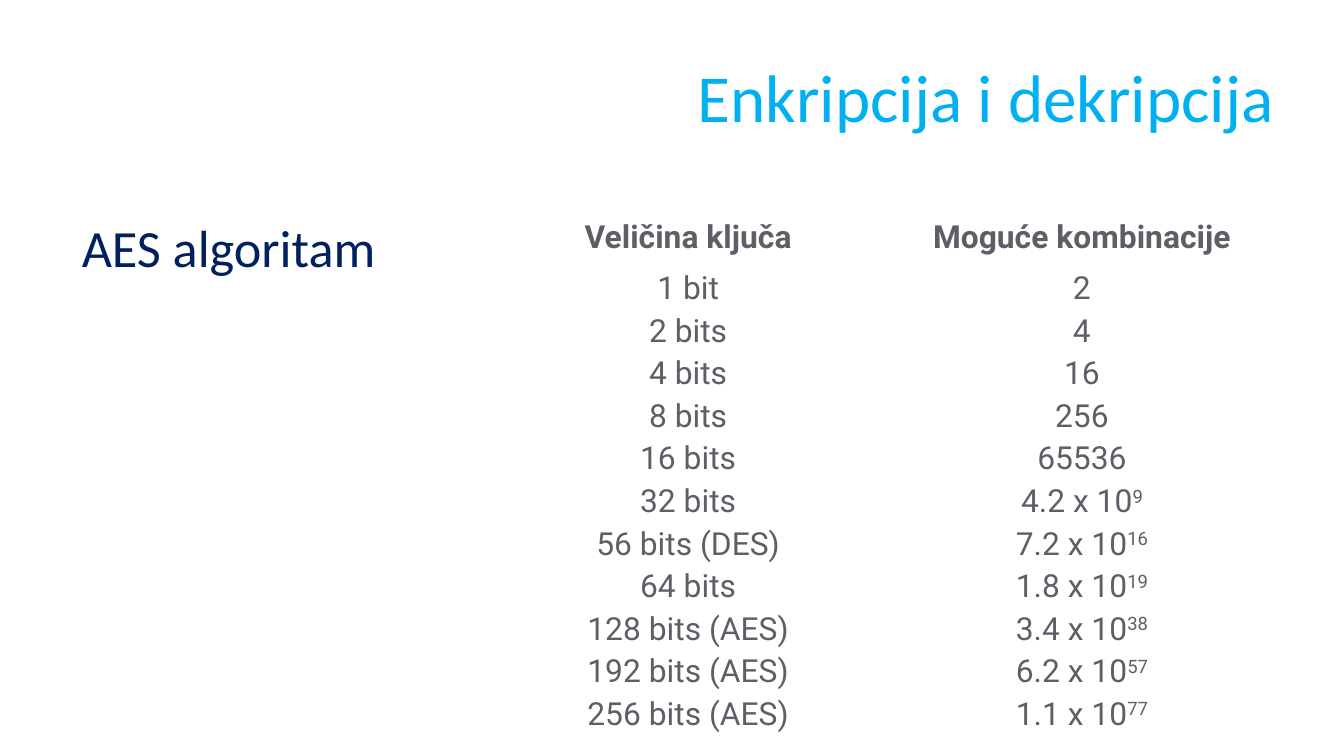
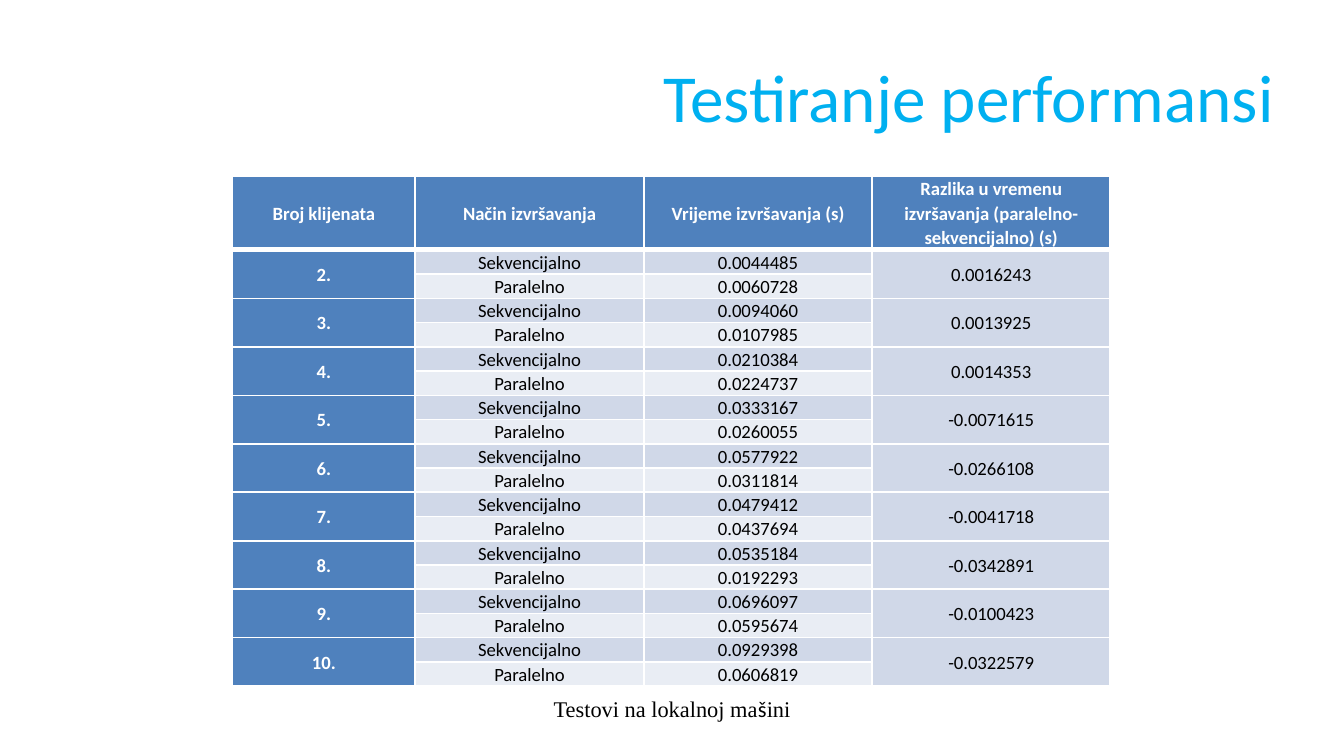
from dataclasses import dataclass

import lxml.etree
import pptx
import pptx.dml.color
import pptx.enum.text
import pptx.oxml.ns
import pptx.util

Inches = pptx.util.Inches
Pt = pptx.util.Pt
Align = pptx.enum.text.PP_ALIGN
Anchor = pptx.enum.text.MSO_ANCHOR


@dataclass(frozen=True)
class Style:
    size: float
    font: str
    color: str
    bold: bool = False


class Theme:
    white = "FFFFFF"
    header_fill = "4F81BD"
    dark_band = "D0D8E8"
    light_band = "E9EDF4"
    title = Style(36, "Calibri", "00B0F0")
    body = Style(28, "Calibri", "002060")
    key_head = Style(17, "Roboto", "5E5F66", True)
    key_cell = Style(17, "Roboto", "5E5F66")
    test_head = Style(10, "Calibri", "FFFFFF", True)
    test_cell = Style(10, "Calibri", "000000")
    caption = Style(12, "Times New Roman", "000000")
    caption_accent = Style(12, "Calibri", "000000")


KEY_SIZES = [
    ("1 bit", "2"),
    ("2 bits", "4"),
    ("4 bits", "16"),
    ("8 bits", "256"),
    ("16 bits", "65536"),
    ("32 bits", "4.2 x 10^9"),
    ("56 bits (DES)", "7.2 x 10^16"),
    ("64 bits", "1.8 x 10^19"),
    ("128 bits (AES)", "3.4 x 10^38"),
    ("192 bits (AES)", "6.2 x 10^57"),
    ("256 bits (AES)", "1.1 x 10^77"),
]

TEST_HEADERS = [
    "Broj klijenata",
    "Način izvršavanja",
    "Vrijeme izvršavanja (s)",
    "Razlika u vremenu izvršavanja (paralelno-sekvencijalno) (s)",
]

TEST_RESULTS = [
    ("2.", "0.0044485", "0.0060728", "0.0016243"),
    ("3.", "0.0094060", "0.0107985", "0.0013925"),
    ("4.", "0.0210384", "0.0224737", "0.0014353"),
    ("5.", "0.0333167", "0.0260055", "-0.0071615"),
    ("6.", "0.0577922", "0.0311814", "-0.0266108"),
    ("7.", "0.0479412", "0.0437694", "-0.0041718"),
    ("8.", "0.0535184", "0.0192293", "-0.0342891"),
    ("9.", "0.0696097", "0.0595674", "-0.0100423"),
    ("10.", "0.0929398", "0.0606819", "-0.0322579"),
]


def add_span(para, text, style):
    span = para.add_run()
    span.text = text
    font = span.font
    font.size = Pt(style.size)
    font.name = style.font
    font.bold = style.bold
    font.color.rgb = pptx.dml.color.RGBColor.from_string(style.color)
    return span


def add_titled_page(deck, title):
    page = deck.slides.add_slide(deck.slide_layouts[5])
    box = page.shapes.title
    box.left, box.top = Inches(0.55), Inches(0.29)
    box.width, box.height = Inches(9.03), Inches(0.84)
    box.text_frame.vertical_anchor = Anchor.MIDDLE
    para = box.text_frame.paragraphs[0]
    para.alignment = Align.RIGHT
    add_span(para, title, Theme.title)
    return page


def add_text_box(page, left, top, width, height, spans, align, anchor):
    box = page.shapes.add_textbox(Inches(left), Inches(top), Inches(width), Inches(height))
    frame = box.text_frame
    frame.word_wrap = True
    frame.vertical_anchor = anchor
    para = frame.paragraphs[0]
    para.alignment = align
    for text, style in spans:
        add_span(para, text, style)
    return box


def add_grid(page, left, top, height, widths, row_count, header_height):
    frame = page.shapes.add_table(
        row_count, len(widths), Inches(left), Inches(top), Inches(sum(widths)), Inches(height)
    )
    table = frame.table
    table.horz_banding = False
    for column, width in zip(table.columns, widths):
        column.width = Inches(width)
    row_height = (height - header_height) / (row_count - 1)
    for index, row in enumerate(table.rows):
        row.height = Inches(row_height if index else header_height)
    return table


def fill_cell(cell, color):
    cell.fill.solid()
    cell.fill.fore_color.rgb = pptx.dml.color.RGBColor.from_string(color)


def write_cell(cell, text, style, side_margin=0):
    cell.margin_left = cell.margin_right = Inches(side_margin)
    cell.margin_top = cell.margin_bottom = 0
    cell.vertical_anchor = Anchor.MIDDLE
    para = cell.text_frame.paragraphs[0]
    para.alignment = Align.CENTER
    base, _, exponent = text.partition("^")
    add_span(para, base, style)
    if exponent:
        span = add_span(para, exponent, style)
        span._r.get_or_add_rPr().set("baseline", "30000")
    return para


def border_cell(cell, color, bottom_width):
    properties = cell._tc.get_or_add_tcPr()
    for side, width in (("lnL", 1), ("lnR", 1), ("lnT", 1), ("lnB", bottom_width)):
        line = lxml.etree.SubElement(properties, pptx.oxml.ns.qn("a:" + side), w=str(Pt(width)))
        fill = lxml.etree.SubElement(line, pptx.oxml.ns.qn("a:solidFill"))
        lxml.etree.SubElement(fill, pptx.oxml.ns.qn("a:srgbClr"), val=color)


def add_key_table(page):
    rows = [("Veličina ključa", "Moguće kombinacije")] + KEY_SIZES
    table = add_grid(page, 3.72, 1.55, 3.93, [2.8, 3.06], len(rows), 0.44)
    for row_index, row in enumerate(rows):
        style = Theme.key_cell if row_index else Theme.key_head
        for column_index, text in enumerate(row):
            cell = table.cell(row_index, column_index)
            fill_cell(cell, Theme.white)
            write_cell(cell, text, style)


def write_test_cell(table, row, column, text, style):
    para = write_cell(table.cell(row, column), text, style, 0.06)
    para.line_spacing = 1.07
    para.space_after = Pt(8)


def test_fill(row, column):
    if row == 0 or column == 0:
        return Theme.header_fill
    return Theme.dark_band if row % 2 or column == 3 else Theme.light_band


def add_test_table(page):
    widths = [1.36, 1.7, 1.7, 1.77]
    row_count = 1 + 2 * len(TEST_RESULTS)
    table = add_grid(page, 1.73, 1.31, 3.71, widths, row_count, 0.55)
    for row in range(row_count):
        for column in range(len(widths)):
            cell = table.cell(row, column)
            border_cell(cell, Theme.white, 1 if row else 3)
            fill_cell(cell, test_fill(row, column))
    for column, text in enumerate(TEST_HEADERS):
        write_test_cell(table, 0, column, text, Theme.test_head)
    for index, (clients, sequential, parallel, difference) in enumerate(TEST_RESULTS):
        row = 1 + 2 * index
        for column in (0, 3):
            table.cell(row, column).merge(table.cell(row + 1, column))
        write_test_cell(table, row, 0, clients, Theme.test_head)
        write_test_cell(table, row, 3, difference, Theme.test_cell)
        modes = (("Sekvencijalno", sequential), ("Paralelno", parallel))
        for offset, pair in enumerate(modes):
            for column, text in enumerate(pair, start=1):
                write_test_cell(table, row + offset, column, text, Theme.test_cell)


def add_encryption_page(deck):
    page = add_titled_page(deck, "Enkripcija i dekripcija")
    spans = [("AES algoritam", Theme.body)]
    add_text_box(page, 0.51, 1.55, 9.02, 3.68, spans, Align.LEFT, Anchor.TOP)
    add_key_table(page)


def add_performance_page(deck):
    page = add_titled_page(deck, "Testiranje performansi")
    add_test_table(page)
    spans = [
        ("Testovi na lokalnoj ma", Theme.caption),
        ("š", Theme.caption_accent),
        ("ini", Theme.caption),
    ]
    box = add_text_box(page, 3.74, 5.12, 2.52, 0.3, spans, Align.CENTER, Anchor.MIDDLE)
    box.text_frame.auto_size = pptx.enum.text.MSO_AUTO_SIZE.SHAPE_TO_FIT_TEXT


def main():
    deck = pptx.Presentation()
    deck.slide_width = Inches(10)
    deck.slide_height = deck.slide_width * 9 // 16
    add_encryption_page(deck)
    add_performance_page(deck)
    deck.save("out.pptx")


if __name__ == "__main__":
    main()
